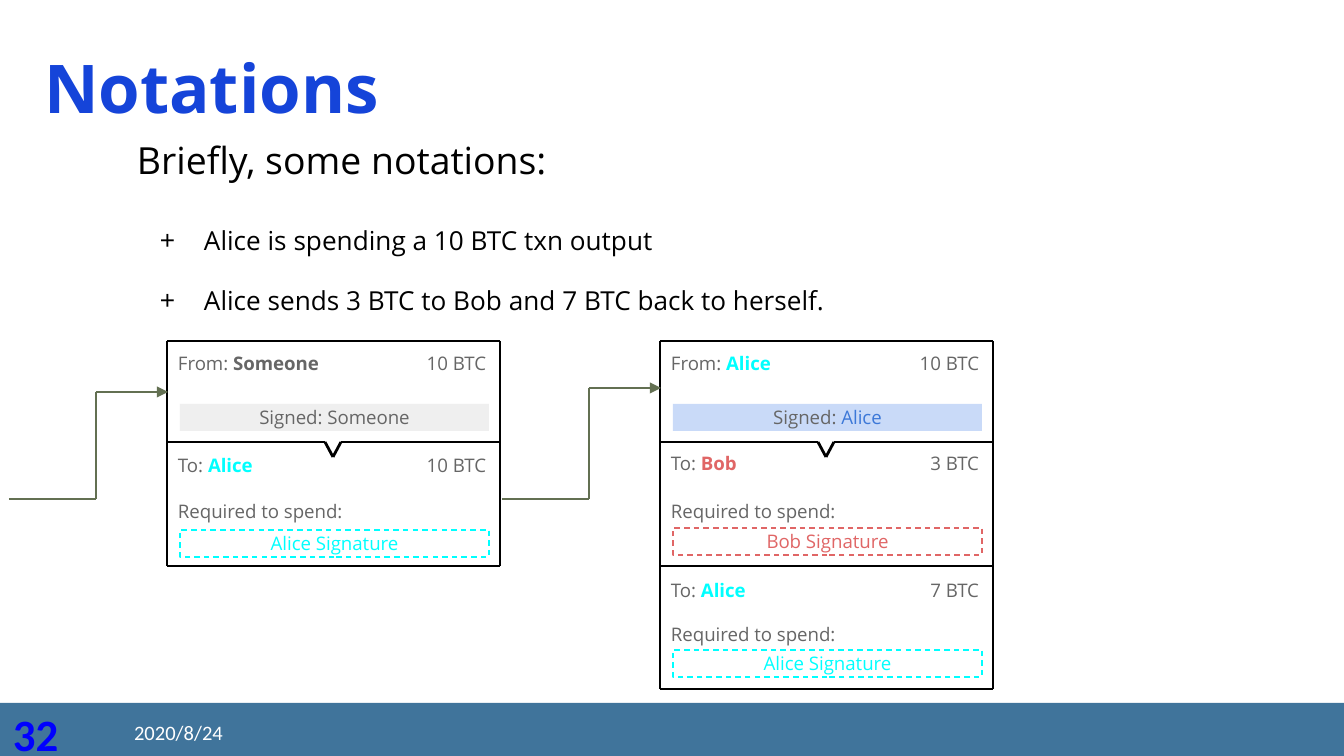
from itertools import pairwise

from lxml.etree import SubElement
from pptx import Presentation
from pptx.dml.color import RGBColor
from pptx.enum.dml import MSO_LINE_DASH_STYLE as DASH
from pptx.enum.shapes import MSO_CONNECTOR as CONN, MSO_SHAPE as SHAPE
from pptx.enum.text import MSO_ANCHOR as ANCHOR, MSO_AUTO_SIZE as AUTO, PP_ALIGN as ALIGN
from pptx.oxml.ns import qn
from pptx.util import Emu, Pt

PX = 914400 / 134.4  # EMU in one px
INSET = 13
CARD_W = 333
CARD_TOP, DIVIDER, OUTPUT_END = 341, 442, 566

BLACK = RGBColor(0x00, 0x00, 0x00)
WHITE = RGBColor(0xFF, 0xFF, 0xFF)
TITLE_BLUE = RGBColor(0x15, 0x44, 0xD9)
NUMBER_BLUE = RGBColor(0x00, 0x00, 0xFF)
FOOTER = RGBColor(0x40, 0x74, 0x9B)
GREY = RGBColor(0x66, 0x66, 0x66)
CYAN = RGBColor(0x00, 0xFF, 0xFF)
RED = RGBColor(0xE0, 0x66, 0x66)
SIGN_BLUE = RGBColor(0x3C, 0x78, 0xD8)
PALE_GREY = RGBColor(0xEF, 0xEF, 0xEF)
PALE_BLUE = RGBColor(0xC9, 0xDA, 0xF8)
OLIVE = RGBColor(0x63, 0x70, 0x52)


def px(n):
    return Emu(round(n * PX))


def style(r, size, color, bold=False, font="Open Sans"):
    r.font.name, r.font.size, r.font.bold = font, Pt(size), bold
    r.font.color.rgb = color


def set_frame(tf, anchor=ANCHOR.TOP, inset_y=INSET):
    tf.word_wrap = True
    tf.auto_size = AUTO.NONE
    tf.vertical_anchor = anchor
    tf.margin_left = tf.margin_right = px(INSET)
    tf.margin_top = tf.margin_bottom = px(inset_y)


def add_runs(p, parts, size=10, font="Open Sans"):
    """Parts are (text, colour, bold)."""
    for text, color, bold in parts:
        r = p.add_run()
        r.text = text
        style(r, size, color, bold, font)


def add_text(s, x, y, w, h, parts, align=ALIGN.LEFT):
    tf = s.shapes.add_textbox(px(x), px(y), px(w), px(h)).text_frame
    set_frame(tf)
    tf.paragraphs[0].alignment = align
    add_runs(tf.paragraphs[0], parts)
    return tf


def add_box(s, x, y, w, h, fill=None, outline=None, parts=()):
    sp = s.shapes.add_shape(SHAPE.RECTANGLE, px(x), px(y), px(w), px(h))
    sp.shadow.inherit = False
    if fill is None:
        sp.fill.background()
    else:
        sp.fill.solid()
        sp.fill.fore_color.rgb = fill
    if outline is None:
        sp.line.fill.background()
    else:
        sp.line.color.rgb = outline
        sp.line.width = Pt(0.75)
        sp.line.dash_style = DASH.DASH
    set_frame(sp.text_frame, ANCHOR.MIDDLE)
    p = sp.text_frame.paragraphs[0]
    p.alignment = ALIGN.CENTER
    add_runs(p, parts)


def add_lines(s, points, color=BLACK, width=1.5, arrow=False):
    for (x1, y1), (x2, y2) in pairwise(points):
        line = s.shapes.add_connector(CONN.STRAIGHT, px(x1), px(y1), px(x2), px(y2))
        line.line.color.rgb = color
        line.line.width = Pt(width)
        SubElement(line._element.spPr, qn("a:effectLst"))
    if arrow:
        SubElement(line.line._get_or_add_ln(), qn("a:tailEnd"), type="triangle")


def add_label(s, x, y, prefix, name, color, amount):
    add_text(s, x - 2, y, 188, 52, [(prefix, GREY, False), (name, color, True)])
    add_text(s, x + 177, y, 155, 52, [(amount, GREY, False)], ALIGN.RIGHT)


def add_input(s, x, name, color, sign_color, fill):
    """Upper part of a transaction, with a notch in its lower edge."""
    right = x + CARD_W
    add_lines(s, [(x + 158, DIVIDER), (x, DIVIDER), (x, CARD_TOP), (right, CARD_TOP),
                  (right, DIVIDER), (x + 174, DIVIDER), (x + 166, DIVIDER + 15),
                  (x + 158, DIVIDER)])
    add_label(s, x, CARD_TOP - 2, "From: ", name, color, "10 BTC")
    add_box(s, x + 13, 404, 309, 27, fill=fill,
            parts=[("Signed: ", GREY, False), (name, sign_color, False)])


def add_output(s, x, top, bottom, rows, name, color, amount):
    label_y, required_y, signature_y = rows
    right = x + CARD_W
    add_lines(s, [(x, top), (x, bottom), (right, bottom), (right, top)])
    add_label(s, x, label_y, "To: ", name, color, amount)
    add_text(s, x - 2, required_y, 255, 51, [("Required to spend:", GREY, False)])
    add_box(s, x + 13, signature_y, 309, 27, outline=color,
            parts=[(f"{name} Signature", color, False)])


def add_link(s, x, end_y):
    add_lines(s, [(x, 499), (x + 87, 499), (x + 87, end_y), (x + 159, end_y)],
              OLIVE, 0.75, arrow=True)


def place(sp, x, y, w, h):
    sp.left, sp.top, sp.width, sp.height = px(x), px(y), px(w), px(h)
    set_frame(sp.text_frame)


def fill_title(sp):
    place(sp, 31, 42, 1297, 87)
    sp.text_frame.text = "Notations"
    p = sp.text_frame.paragraphs[0]
    p.alignment = ALIGN.LEFT
    p.line_spacing = 0.9
    style(p.runs[0], 36, TITLE_BLUE, True)


def fill_body(sp):
    place(sp, 124, 129, 821, 194)
    tf = sp.text_frame
    # text, size, space before, bullet
    rows = [("Briefly, some notations:", 20, 0, None),
            ("Alice is spending a 10 BTC txn output", 14, 24.5, "+"),
            ("Alice sends 3 BTC to Bob and 7 BTC back to herself.", 14, 17, "+")]
    tf.text = "\n".join(row[0] for row in rows)
    for p, (_, size, before, bullet) in zip(tf.paragraphs, rows):
        pPr = p._p.get_or_add_pPr()
        pPr.set("marL", str(px(67) if bullet else 0))
        pPr.set("indent", str(px(-44) if bullet else 0))
        if bullet:
            SubElement(pPr, qn("a:buChar"), char=bullet)
        else:
            SubElement(pPr, qn("a:buNone"))
        p.line_spacing = 0.9
        p.space_before = Pt(before)
        style(p.runs[0], size, BLACK)


def add_footer(s):
    add_box(s, 0, 703, 1344, 53, fill=FOOTER)
    for x, y, w, h, text, size, color, bold, anchor in [
            (0, 700, 93, 54, "32", 24, NUMBER_BLUE, True, ANCHOR.TOP),
            (121, 712, 273, 40, "2020/8/24", 11, WHITE, False, ANCHOR.MIDDLE)]:
        tf = s.shapes.add_textbox(px(x), px(y), px(w), px(h)).text_frame
        set_frame(tf, anchor, 7)
        tf.text = text
        style(tf.paragraphs[0].runs[0], size, color, bold, "Calibri")


def main():
    prs = Presentation()
    prs.slide_width, prs.slide_height = px(1344), px(756)
    s = prs.slides.add_slide(prs.slide_layouts[1])
    add_footer(s)
    fill_title(s.shapes.title)
    fill_body(s.placeholders[1])

    # Earlier transaction: Someone pays Alice
    left, right = 167, 660
    add_input(s, left, "Someone", GREY, GREY, PALE_GREY)
    add_output(s, left, DIVIDER, OUTPUT_END, (441, 487, 530), "Alice", CYAN, "10 BTC")

    # Next transaction: Alice pays Bob and herself
    add_input(s, right, "Alice", CYAN, SIGN_BLUE, PALE_BLUE)
    add_output(s, right, DIVIDER, OUTPUT_END, (439, 487, 528), "Bob", RED, "3 BTC")
    add_output(s, right, OUTPUT_END, 689, (566, 610, 650), "Alice", CYAN, "7 BTC")

    # Links from output to input
    add_link(s, 9, 392)
    add_link(s, 502, 388)
    prs.save("out.pptx")


if __name__ == "__main__":
    main()
